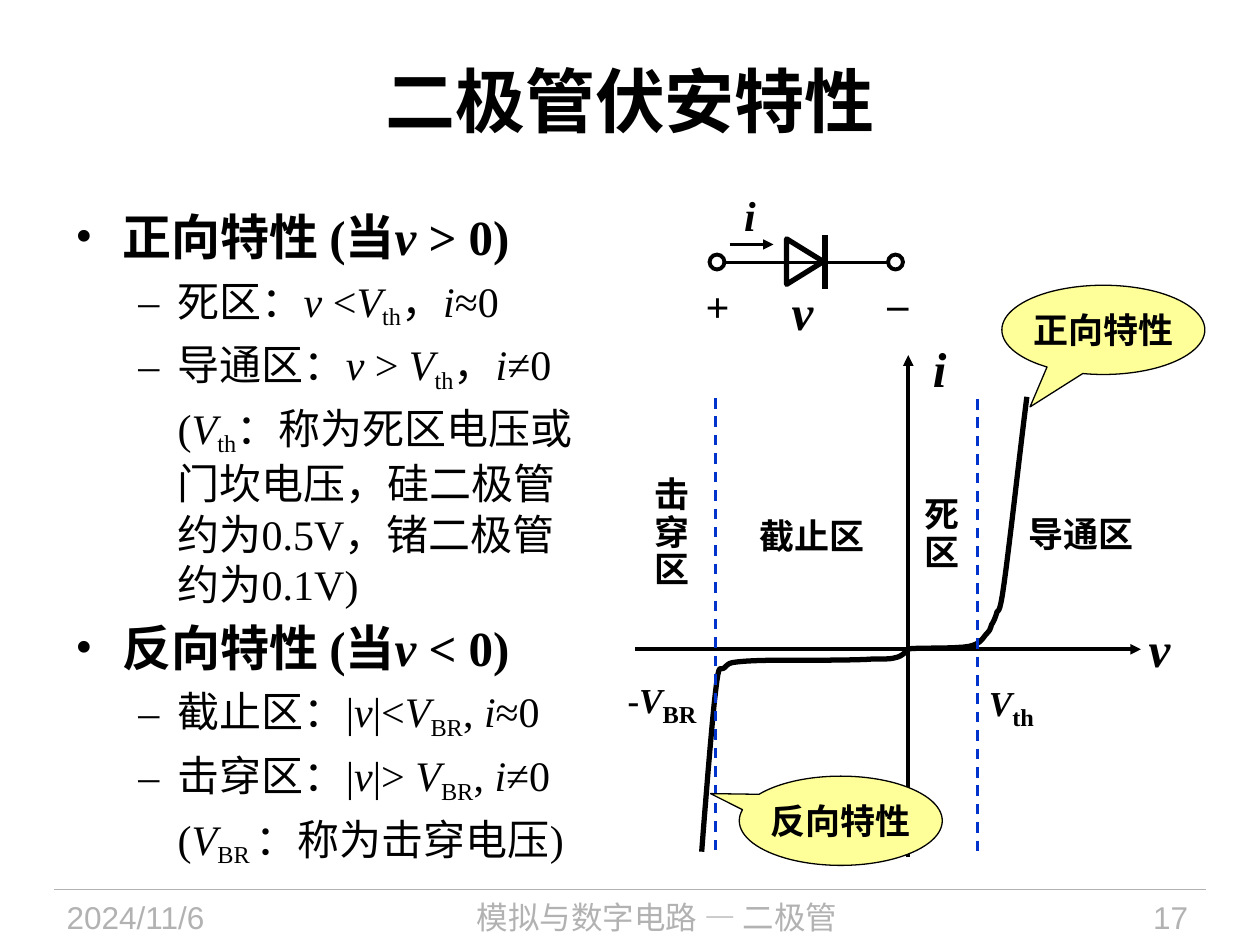
from lxml.etree import SubElement
from pptx import Presentation
from pptx.dml.color import RGBColor
from pptx.enum.dml import MSO_LINE_DASH_STYLE as Dash
from pptx.enum.shapes import MSO_CONNECTOR as Connector, MSO_SHAPE as Shape
from pptx.enum.text import MSO_ANCHOR as Anchor, MSO_AUTO_SIZE as AutoSize, PP_ALIGN as Align
from pptx.oxml.ns import qn
from pptx.util import Pt

COLORS = {"text": "000000", "footer": "B2B2B2", "boundary": "0033CC", "callout": "FFFF99"}
TIMES, ARIAL, CJK = "Times New Roman", "Arial", "Noto Sans CJK SC"
INSETS = (7.2, 3.6, 7.2, 3.6)

# Content: *...* is italic, _..._ is subscript
TITLE = "二极管伏安特性"
OUTLINE = [  # (kind, text)
    ("heading", "正向特性 (当*v *> 0)"),
    ("item", "死区：*v *<*V*_th_，*i*≈0"),
    ("item", "导通区：*v *>* V*_th_，*i*≠0"),
    ("note", "(*V*_th_：称为死区电压或门坎电压，硅二极管约为0.5V，锗二极管约为0.1V)"),
    ("heading", "反向特性 (当*v *< 0)"),
    ("item", "截止区：|*v*|<*V*_BR_, *i*≈0"),
    ("item", "击穿区：|*v*|>* V*_BR_, *i*≠0"),
    ("note", "(*V*_BR _：称为击穿电压)"),
]
KINDS = {  # bullet, left margin, first-line indent, size, bold
    "heading": ("•", 27, -27, 28, True),
    "item": ("–", 58.5, -22.5, 24, False),
    "note": (None, 58.5, 0, 24, False),
}
FOOTERS = [  # text, box, alignment, font
    ("2024/11/6", (31, 508, 135, 32), Align.LEFT, ARIAL),
    ("模拟与数字电路 — 二极管", (173, 508, 405, 32), Align.CENTER, CJK),
    ("17", (590, 508, 96, 32), Align.RIGHT, ARIAL),
]
REGIONS = [  # paragraphs, box, alignment, anchor
    (["死", "区"], (521, 281, 34, 50), Align.LEFT, Anchor.MIDDLE),
    (["截止区"], (423, 293, 82, 29), Align.CENTER, Anchor.TOP),
    (["导通区"], (571, 292, 94, 29), Align.CENTER, Anchor.MIDDLE),
    (["击穿区"], (363, 269, 42, 72), Align.CENTER, Anchor.MIDDLE),
]
QUANTITIES = [  # text, box, size, anchor, insets
    ("*v*", (649, 350, 27, 41), 28, Anchor.MIDDLE, INSETS),
    ("*i*", (521, 190, 32, 41), 28, Anchor.MIDDLE, INSETS),
    ("*v*", (445, 157, 27, 41), 28, Anchor.MIDDLE, INSETS),
    ("*i*", (418, 105, 21, 36), 24, Anchor.TOP, INSETS),
    ("+", (403, 160.5, 14, 29), 24, Anchor.TOP, (0, 0, 0, 0)),
    ("–", (507, 158.5, 12, 29), 24, Anchor.TOP, (0, 0, 0, 0)),
]
VOLTAGES = [  # text, box, line spacing
    ("*V*_th_", (558, 372, 42.5, 35), 1.3),
    ("-*V*_BR_", (351.5, 373.5, 57, 34), 1.2),
]
CALLOUTS = [  # text, box, pointer position
    ("正向特性", (572.5, 163, 116, 51), (-0.361, 0.864)),
    ("反向特性", (422.5, 443.5, 116, 51), (-0.642, -0.304)),
]
# Cubic curves: start point, then two controls and an end point per piece
CURVES = [
    [(519.1, 370.8),
     (524.9, 370.1), (546.5, 370.8), (553.7, 369.4),
     (560.9, 367.9), (561.6, 364.3), (563.8, 362.2),
     (565.9, 360), (565.9, 359.3), (566.6, 357.1),
     (567.4, 355.7), (568.1, 355), (569.5, 350.6),
     (570.2, 347), (571, 354.2), (573.8, 333.4),
     (576.7, 313.2), (583.9, 249.1), (586.8, 226.8)],
    [(519.1, 371.5),
     (517.7, 372.2), (515.5, 375.1), (511.9, 375.8),
     (508.3, 376.6), (508.3, 376.6), (499, 376.6),
     (489.6, 377.3), (468.7, 377.3), (455.8, 377.3),
     (443.5, 377.3), (431.3, 377.3), (424.1, 378),
     (416.9, 378.7), (416.9, 378.7), (414, 381.6),
     (411.1, 383.8), (411.1, 377.3), (409, 394.6),
     (406.8, 412.6), (402.5, 467.3), (401, 486.7)],
]
AXES = [(519, 490, 519, 203), (363, 371, 652, 371)]
BOUNDARIES = [(409, 227.5, 409, 489), (558.7, 228, 558.7, 489)]
TERMINALS = [(405.5, 145.5, 8.5, 8.5), (507.5, 145.5, 8.5, 8.5)]

presentation = Presentation()
presentation.slide_width, presentation.slide_height = Pt(720), Pt(540)
slide = presentation.slides.add_slide(presentation.slide_layouts[5])
shapes = slide.shapes


def rgb(name):
    return RGBColor.from_string(COLORS[name])


def split_runs(text):
    for i, part in enumerate(text.split("*")):
        for j, piece in enumerate(part.split("_")):
            if piece:
                yield piece, i % 2 == 1, j % 2 == 1


def write(paragraph, text, size, font=TIMES, bold=True, color="text", sub_size=None, drop=-20):
    for piece, italic, is_sub in split_runs(text):
        run = paragraph.add_run()
        run.text = piece
        values = {"name": font, "size": Pt(sub_size if is_sub and sub_size else size),
                  "bold": bold, "italic": italic}
        for key, value in values.items():
            setattr(run.font, key, value)
        run.font.color.rgb = rgb(color)
        properties = run.font._element
        SubElement(properties, qn("a:ea"), typeface=CJK)
        if is_sub:
            properties.set("baseline", str(drop * 1000))


def set_frame(shape, anchor, insets=INSETS, wrap=True):
    frame = shape.text_frame
    names = ("margin_left", "margin_top", "margin_right", "margin_bottom")
    values = {"word_wrap": wrap, "auto_size": AutoSize.NONE, "vertical_anchor": anchor,
              **{name: Pt(inset) for name, inset in zip(names, insets)}}
    for key, value in values.items():
        setattr(frame, key, value)
    return frame


def add_text(paragraphs, box, size, align=Align.LEFT, anchor=Anchor.TOP, insets=INSETS,
             wrap=True, spacing=None, **style):
    frame = set_frame(shapes.add_textbox(*map(Pt, box)), anchor, insets, wrap)
    for index, text in enumerate(paragraphs):
        paragraph = frame.add_paragraph() if index else frame.paragraphs[0]
        paragraph.alignment, paragraph.line_spacing = align, spacing
        write(paragraph, text, size, **style)


def set_line(line, width, color="text"):
    line.color.rgb, line.width = rgb(color), Pt(width)


def add_line(ends, width, color="text", dash=None, arrow=False):
    connector = shapes.add_connector(Connector.STRAIGHT, *map(Pt, ends))
    set_line(connector.line, width, color)
    if dash:
        connector.line.dash_style = dash
    if arrow:
        SubElement(connector.line._get_or_add_ln(), qn("a:tailEnd"), type="triangle")
    SubElement(connector._element.spPr, qn("a:effectLst"))


def add_outline(kind, box, width):
    shape = shapes.add_shape(kind, *map(Pt, box))
    shape.shadow.inherit = False
    shape.fill.background()
    set_line(shape.line, width)
    return shape


def sample(points, steps=8):
    for k in range(0, len(points) - 1, 3):
        piece = points[k:k + 4]
        for step in range(1, steps + 1):
            t = step / steps
            weights = ((1 - t) ** 3, 3 * t * (1 - t) ** 2, 3 * t * t * (1 - t), t ** 3)
            yield tuple(Pt(sum(w * p[axis] for w, p in zip(weights, piece))) for axis in (0, 1))


# Footer
add_line((31, 508.3, 689, 508.3), 0.75, "footer")
for text, box, align, font in FOOTERS:
    add_text([text], box, 18, align, Anchor.MIDDLE, font=font, bold=False, color="footer")

# Title
title = shapes.title
title.left, title.top, title.width, title.height = map(Pt, (36, 12, 648, 90))
heading = set_frame(title, Anchor.MIDDLE).paragraphs[0]
heading.alignment = Align.CENTER
write(heading, TITLE, 40)

# Characteristic curves
for points in CURVES:
    builder = shapes.build_freeform(*map(Pt, points[0]))
    builder.add_line_segments(list(sample(points)), close=False)
    curve = builder.convert_to_shape()
    curve.shadow.inherit = False
    curve.fill.background()
    set_line(curve.line, 3)

# Axes, region boundaries and labels
for ends in AXES:
    add_line(ends, 2, arrow=True)
for ends in BOUNDARIES:
    add_line(ends, 1.5, "boundary", Dash.DASH)
for paragraphs, box, align, anchor in REGIONS:
    add_text(paragraphs, box, 20, align, anchor, spacing=0.9, font=CJK)
for text, box, spacing in VOLTAGES:
    add_text([text], box, 20, wrap=False, spacing=spacing, sub_size=24, drop=-25)

# Callouts
for text, box, pointer in CALLOUTS:
    callout = add_outline(Shape.OVAL_CALLOUT, box, 0.75)
    callout.fill.solid()
    callout.fill.fore_color.rgb = rgb("callout")
    callout.adjustments[0], callout.adjustments[1] = pointer
    paragraph = set_frame(callout, Anchor.MIDDLE, (0, 0, 0, 0), False).paragraphs[0]
    paragraph.alignment = Align.CENTER
    write(paragraph, text, 20, ARIAL)

# Diode symbol
add_line((471.5, 165, 471.5, 134.5), 3)
add_outline(Shape.ISOSCELES_TRIANGLE, (447, 139, 26, 21), 3).rotation = 90
add_line((414, 150, 507.5, 150), 2.25)
add_line((417, 139.7, 442, 139.7), 1.5, arrow=True)
for box in TERMINALS:
    add_outline(Shape.OVAL, box, 2.25)
for text, box, size, anchor, insets in QUANTITIES:
    add_text([text], box, size, Align.CENTER, anchor, insets, False)

# Outline
body = set_frame(shapes.add_textbox(*map(Pt, (36, 114.5, 309.5, 388))), Anchor.TOP)
for index, (kind, text) in enumerate(OUTLINE):
    bullet, margin, indent, size, bold = KINDS[kind]
    paragraph = body.add_paragraph() if index else body.paragraphs[0]
    paragraph.space_after = Pt(0.2 * size)
    properties = paragraph._p.get_or_add_pPr()
    properties.set("marL", str(Pt(margin)))
    properties.set("indent", str(Pt(indent)))
    if bullet:
        SubElement(properties, qn("a:buFont"), typeface=TIMES)
        SubElement(properties, qn("a:buChar"), char=bullet)
    write(paragraph, text, size, bold=bold)

presentation.save("out.pptx")
